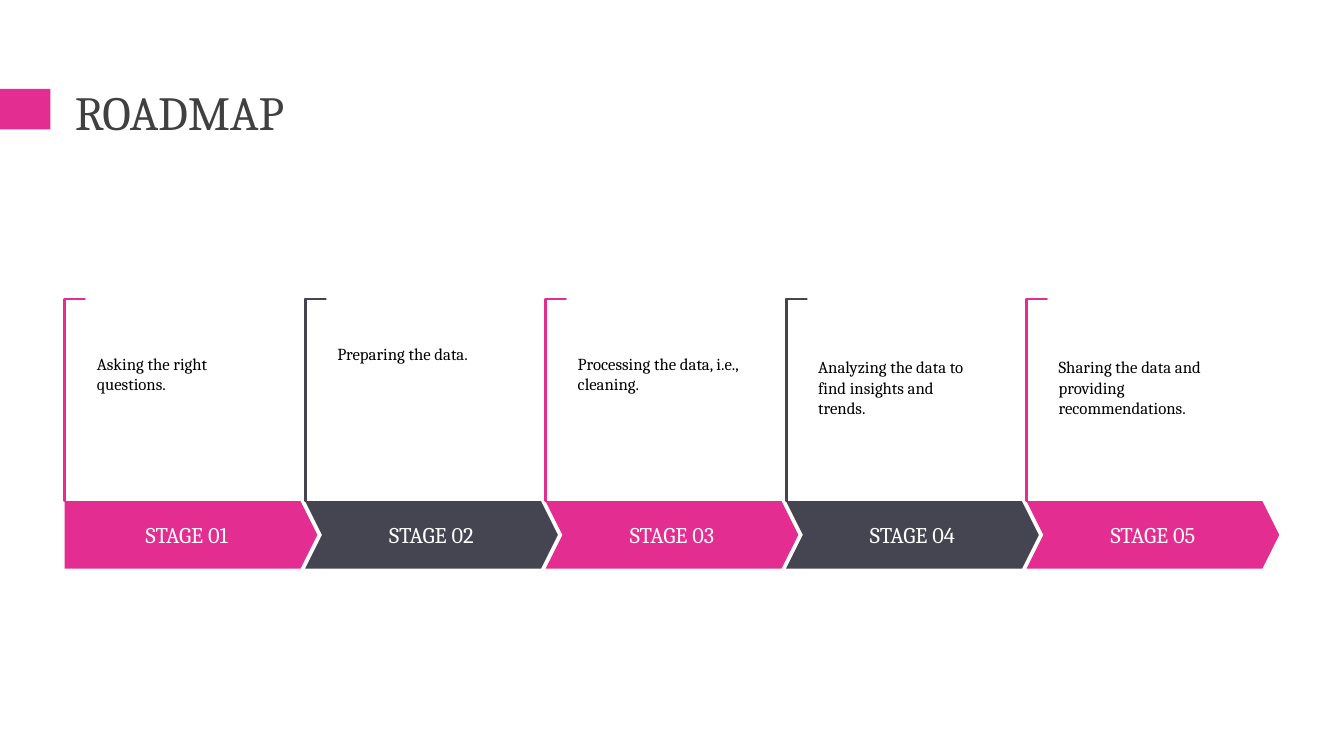
from pptx import Presentation
from pptx.dml.color import RGBColor
from pptx.enum.shapes import MSO_SHAPE
from pptx.enum.text import MSO_ANCHOR, PP_ALIGN
from pptx.util import Cm, Pt

PINK = RGBColor(0xE3, 0x2D, 0x91)
SLATE = RGBColor(0x45, 0x45, 0x51)
GREY = RGBColor(0x40, 0x40, 0x40)
BLACK = RGBColor(0, 0, 0)
WHITE = RGBColor(0xFF, 0xFF, 0xFF)
FONT = "Cambria"
STAGES = [
    "Asking the right questions.",
    "Preparing the data.",
    "Processing the data, i.e., cleaning.",
    "Analyzing the data to find insights and trends.",
    "Sharing the data and providing recommendations.",
]


def write(shape, text, size, color, align, anchor, pads=None):
    frame = shape.text_frame
    frame.text = text
    frame.word_wrap = True
    frame.vertical_anchor = anchor
    if pads:
        (frame.margin_left, frame.margin_top,
         frame.margin_right, frame.margin_bottom) = map(Cm, pads)
    line = frame.paragraphs[0]
    line.alignment = align
    font = line.runs[0].font
    font.name, font.size = FONT, Pt(size)
    font.color.rgb = color


def draw(shapes, kind, box, fill):
    shape = shapes.add_shape(kind, *map(Cm, box))
    shape.shadow.inherit = False
    shape.fill.solid()
    shape.fill.fore_color.rgb = fill
    shape.line.fill.background()
    return shape


def add_head(slide, left, top, width, height):
    draw(slide.shapes, MSO_SHAPE.RECTANGLE, (0, top + 0.28, 1.27, 1.02), PINK)
    title = slide.shapes.title
    title.left, title.top = Cm(left), Cm(top)
    title.width, title.height = Cm(width), Cm(height)
    write(title, "ROADMAP", 34, GREY, PP_ALIGN.LEFT, MSO_ANCHOR.TOP)


def add_stage(slide, left, top, width, height, kind, label, note, color):
    shapes = slide.shapes.add_group_shape().shapes
    band, hook = 1.7, 0.51
    stem = height - band

    shift = (stem - hook) / 2
    mark = draw(shapes, MSO_SHAPE.CORNER,
                (left - shift, top + shift, stem, hook), WHITE)
    mark.rotation = 90
    mark.adjustments[0] = mark.adjustments[1] = 0.01
    mark.line.color.rgb = color
    mark.line.width = Pt(1.75)

    arrow = draw(shapes, kind, (left, top + stem, width, band), color)
    arrow.adjustments[0] = 0.25
    write(arrow, label, 16, WHITE, PP_ALIGN.CENTER, MSO_ANCHOR.MIDDLE,
          (0.28, 0.56, 0.28, 0.56))

    box = shapes.add_textbox(Cm(left + hook), Cm(top + 0.28), Cm(5.18), Cm(3.33))
    write(box, note, 12, BLACK, PP_ALIGN.LEFT, MSO_ANCHOR.TOP,
          (0.3, 1.19, 0.79, 0))


def add_road(slide, left, top, width, height):
    size = 6.37
    step = (width - size) / (len(STAGES) - 1)
    for i, note in enumerate(STAGES):
        kind = MSO_SHAPE.CHEVRON if i else MSO_SHAPE.PENTAGON
        color = SLATE if i % 2 else PINK
        add_stage(slide, left + i * step, top, size, height,
                  kind, f"STAGE {i + 1:02}", note, color)


def main():
    deck = Presentation()
    deck.slide_width, deck.slide_height = Cm(33.87), Cm(19.05)
    slide = deck.slides.add_slide(deck.slide_layouts[5])
    add_head(slide, 1.63, 1.96, 30.63, 2.06)
    add_road(slide, 1.63, 7.53, 30.61, 6.8)
    deck.save("out.pptx")


if __name__ == "__main__":
    main()
